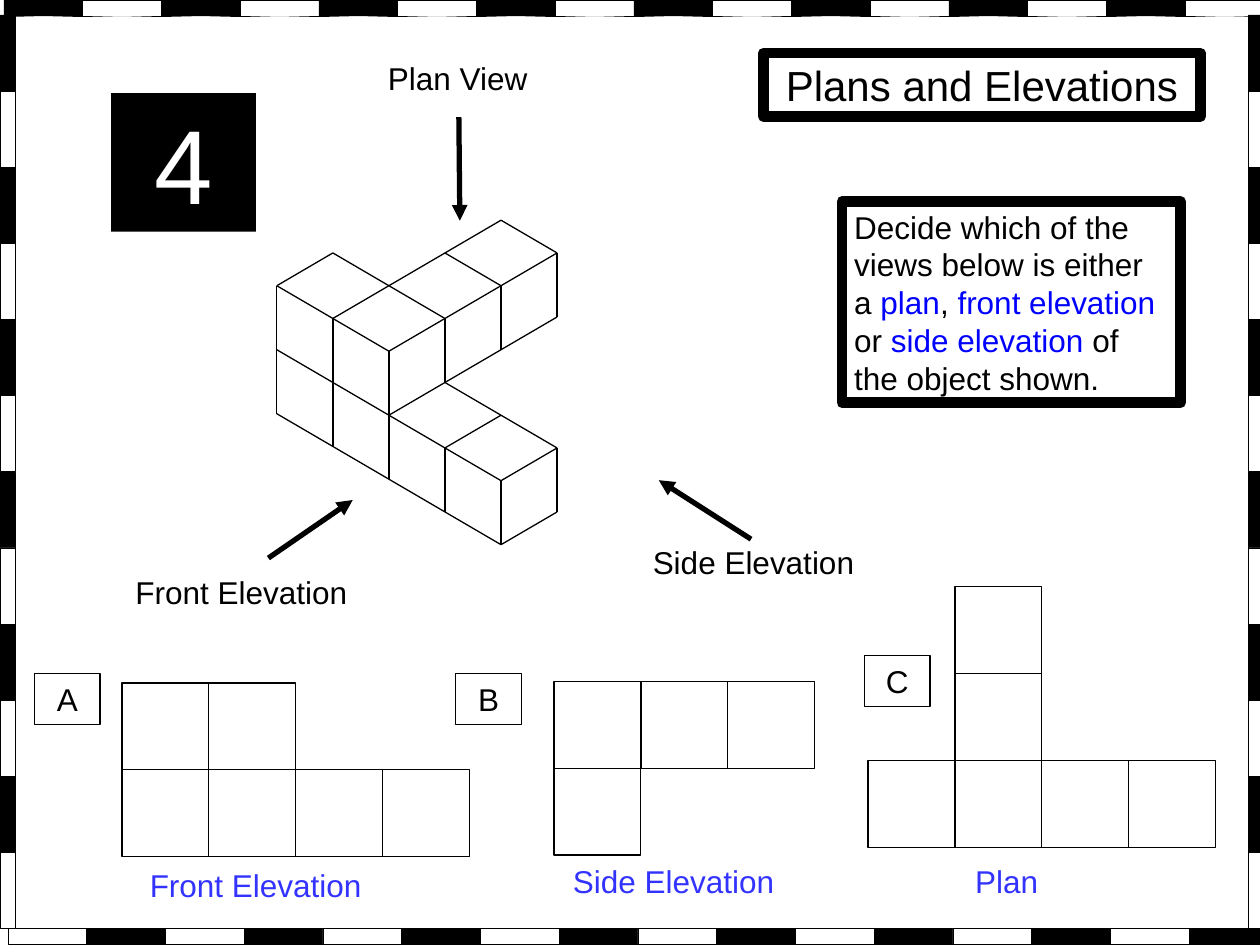
import itertools
import lxml.etree
import pptx
import pptx.dml.color
import pptx.enum.shapes
import pptx.enum.text
import pptx.oxml
import pptx.oxml.ns
import pptx.util

Cm = pptx.util.Cm
Pt = pptx.util.Pt
qn = pptx.oxml.ns.qn
LEFT = pptx.enum.text.PP_ALIGN.LEFT
MID = pptx.enum.text.PP_ALIGN.CENTER
BLACK = pptx.dml.color.RGBColor(0x00, 0x00, 0x00)
WHITE = pptx.dml.color.RGBColor(0xFF, 0xFF, 0xFF)
BLUE = pptx.dml.color.RGBColor(0x00, 0x00, 0xFF)
VIOLET = pptx.dml.color.RGBColor(0x33, 0x33, 0xFF)

deck = pptx.Presentation()
deck.slide_width = Cm(25.4)
deck.slide_height = Cm(19.05)
slide = deck.slides.add_slide(deck.slide_layouts[6])
shapes = slide.shapes


def rect(x, y, w, h, pen=0.75, fill=None):
    shape = shapes.add_shape(
        pptx.enum.shapes.MSO_SHAPE.RECTANGLE, Cm(x), Cm(y), Cm(w), Cm(h))
    shape.shadow.inherit = False
    if fill is None:
        shape.fill.background()
    else:
        shape.fill.solid()
        shape.fill.fore_color.rgb = fill
    if pen:
        shape.line.color.rgb = BLACK
        shape.line.width = Pt(pen)
    else:
        shape.line.fill.background()
    return shape


def write(shape, runs, size=18, align=LEFT, color=BLACK):
    frame = shape.text_frame
    frame.word_wrap = True
    frame.auto_size = pptx.enum.text.MSO_AUTO_SIZE.SHAPE_TO_FIT_TEXT
    frame.vertical_anchor = pptx.enum.text.MSO_ANCHOR.TOP
    para = frame.paragraphs[0]
    para.alignment = align
    para.font.name = "Arial"
    para.font.size = Pt(size)
    para.font.color.rgb = color
    for words, tint in runs:
        run = para.add_run()
        run.text = words
        if tint is not None:
            run.font.color.rgb = tint


edges = [
    ((0, 0, 0), (0, 0, 2)), ((1, 0, 0), (1, 0, 2)), ((2, 0, 0), (2, 0, 2)),
    ((3, 0, 1), (3, 0, 2)), ((4, 0, 1), (4, 0, 2)), ((4, 1, 1), (4, 1, 2)),
    ((2, 1, 0), (2, 1, 1)), ((2, 2, 0), (2, 2, 1)), ((2, 3, 0), (2, 3, 1)),
    ((0, 0, 0), (2, 0, 0)), ((0, 0, 1), (4, 0, 1)), ((0, 0, 2), (4, 0, 2)),
    ((0, 1, 0), (2, 1, 0)), ((1, 2, 0), (2, 2, 0)), ((1, 3, 0), (2, 3, 0)),
    ((2, 1, 1), (4, 1, 1)), ((0, 0, 0), (0, 1, 0)), ((1, 0, 0), (1, 3, 0)),
    ((2, 0, 0), (2, 3, 0)), ((2, 0, 1), (2, 3, 1)), ((3, 0, 1), (3, 1, 1)),
    ((4, 0, 1), (4, 1, 1)), ((4, 0, 2), (4, 1, 2)),
]
lines = []
for edge in edges:
    ends = [(5.58 + 1.13 * (a + b), 5.76 + 0.66 * (a - b) + 1.29 * c)
            for a, b, c in edge]
    lines.append((*ends, 0.75))
lines += [
    ((5.41, 11.25), (7.11, 10.08), 3),
    ((15.14, 10.87), (13.28, 9.68), 3),
    ((9.25, 2.36), (9.27, 4.45), 3),
]
for start, end, pen in lines:
    line = shapes.add_connector(
        pptx.enum.shapes.MSO_CONNECTOR.STRAIGHT,
        *[Cm(v) for v in start + end])
    line.line.color.rgb = BLACK
    line.line.width = Pt(pen)
    if pen == 3:
        stroke = line.line._get_or_add_ln()
        lxml.etree.SubElement(stroke, qn("a:tailEnd"), type="triangle")
    lxml.etree.SubElement(line._element.spPr, qn("a:effectLst"))

side = 1.75
views = [
    (2.46, 13.77, [(0, 0), (1, 0), (0, 1), (1, 1), (2, 1), (3, 1)]),
    (11.17, 13.74, [(0, 0), (1, 0), (2, 0), (0, 1)]),
    (17.5, 11.83, [(1, 0), (1, 1), (0, 2), (1, 2), (2, 2), (3, 2)]),
]
for x, y, cells in views:
    for col, row in cells:
        rect(x + col * side, y + row * side, side, side)

for x, y, name in [(0.7, 13.58, "A"), (9.19, 13.58, "B"), (17.43, 13.22, "C")]:
    write(rect(x, y, 1.32, 1.02), [(name, None)], align=MID)

labels = [
    (7.57, 1.07, 3.56, "Plan View", BLACK),
    (2.48, 11.42, 4.95, "Front Elevation", BLACK),
    (12.91, 10.82, 4.95, "Side Elevation", BLACK),
    (2.77, 17.33, 5.66, "Front Elevation", VIOLET),
    (11.3, 17.26, 5.66, "Side Elevation", VIOLET),
    (19.41, 17.26, 5.26, "Plan", VIOLET),
]
for x, y, w, words, color in labels:
    label = shapes.add_textbox(Cm(x), Cm(y), Cm(w), Cm(1.02))
    write(label, [(words, None)], color=color)

write(rect(15.39, 1.07, 8.81, 1.28, pen=6),
      [("Plans and Elevations", None)], size=24, align=MID)
write(rect(16.97, 4.06, 6.83, 4.06, pen=6), [
    ("Decide which of the views below is either a ", None),
    ("plan", BLUE),
    (", ", None),
    ("front elevation", BLUE),
    (" or ", None),
    ("side elevation", BLUE),
    (" of the object shown.", None),
])
write(rect(2.24, 1.88, 2.92, 2.79, pen=0, fill=BLACK),
      [("4", None)], size=60, align=MID, color=WHITE)

wide = 25.4 / 16
tall = (18.72 - 0.3) / 12
for i, fill in zip(range(16), itertools.cycle([BLACK, WHITE])):
    rect(0.08 + i * wide, 0, wide, 0.32, 0.25, fill)
for i, fill in zip(range(16), itertools.cycle([WHITE, BLACK])):
    rect(0.16 + i * wide, 18.72, wide, 0.31, 0.25, fill)
for x in (0, 25.17):
    for i, fill in zip(range(12), itertools.cycle([BLACK, WHITE])):
        rect(x, 0.3 + i * tall, 0.31, tall, 0.25, fill)

deck.save("out.pptx")
